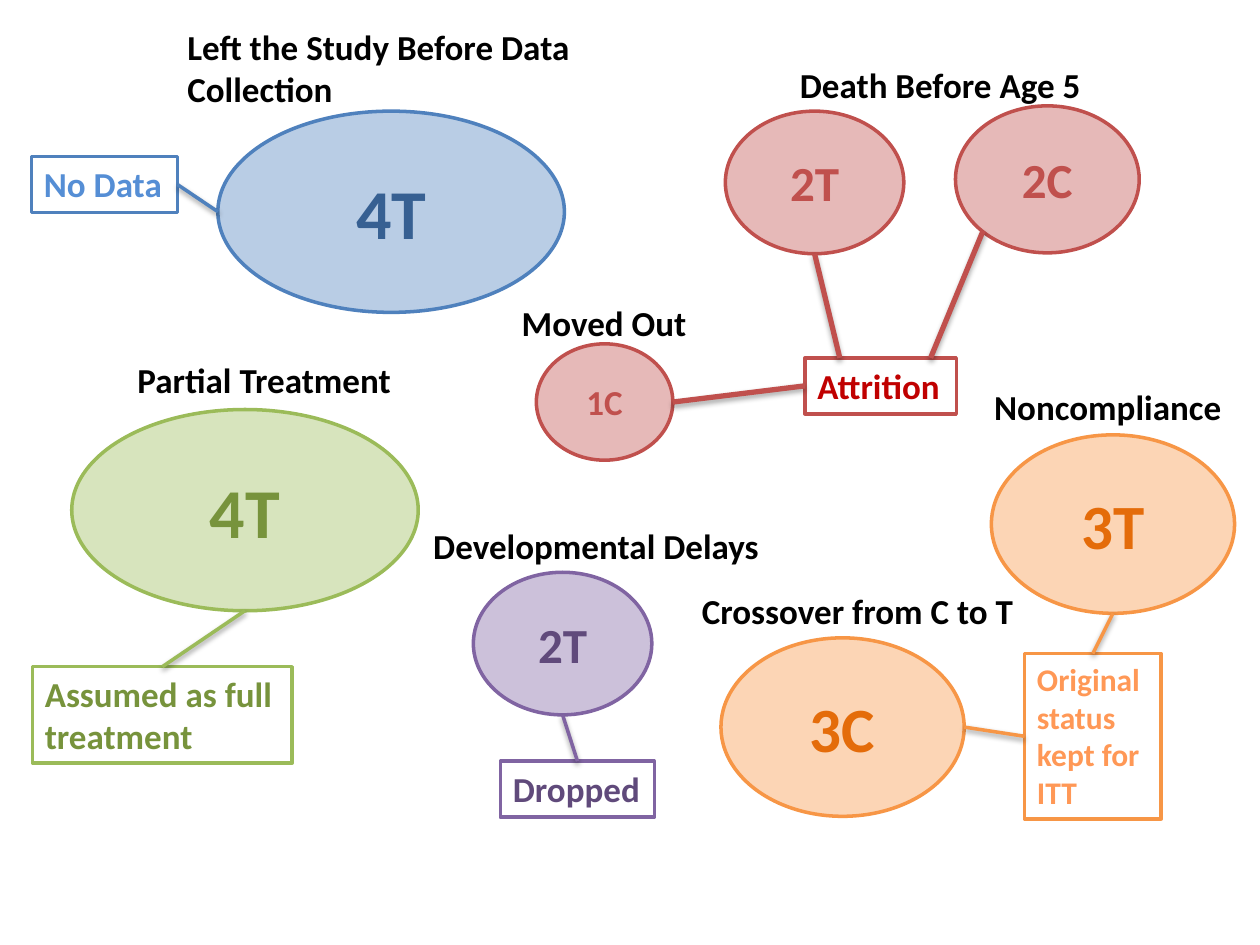
from lxml import etree
from pptx import Presentation
from pptx.dml.color import RGBColor
from pptx.enum.shapes import MSO_CONNECTOR, MSO_SHAPE
from pptx.enum.text import MSO_ANCHOR, MSO_AUTO_SIZE, PP_ALIGN
from pptx.oxml.ns import qn
from pptx.util import Pt

BLACK = RGBColor(0x00, 0x00, 0x00)
WHITE = RGBColor(0xFF, 0xFF, 0xFF)
BLUE = RGBColor(0x4F, 0x81, 0xBD)
PALE_BLUE = RGBColor(0xB9, 0xCD, 0xE5)
DEEP_BLUE = RGBColor(0x37, 0x60, 0x92)
SKY = RGBColor(0x55, 0x8E, 0xD5)
RED = RGBColor(0xC0, 0x50, 0x4D)
PALE_RED = RGBColor(0xE6, 0xB9, 0xB8)
DEEP_RED = RGBColor(0xC0, 0x00, 0x00)
GREEN = RGBColor(0x9B, 0xBB, 0x59)
PALE_GREEN = RGBColor(0xD7, 0xE4, 0xBD)
DEEP_GREEN = RGBColor(0x77, 0x93, 0x3C)
PURPLE = RGBColor(0x80, 0x64, 0xA2)
PALE_PURPLE = RGBColor(0xCC, 0xC1, 0xDA)
DEEP_PURPLE = RGBColor(0x60, 0x4A, 0x7B)
ORANGE = RGBColor(0xF7, 0x96, 0x46)
PALE_ORANGE = RGBColor(0xFC, 0xD5, 0xB5)
DEEP_ORANGE = RGBColor(0xE4, 0x6C, 0x0A)
PEACH = RGBColor(0xFF, 0x98, 0x56)

# Points on a shape, as shares of its width and height
TOP, LEFT, RIGHT, BASE = (0.5, 0), (0, 0.5), (1, 0.5), (0.5, 1)
LOW_LEFT = (0.15, 0.85)


class Board:
    font = "Calibri"

    def __init__(self, slide):
        self.slide = slide

    def add_text(self, shape, text, size, color, wrap=True):
        frame = shape.text_frame
        frame.word_wrap = wrap
        run = frame.paragraphs[0].add_run()
        run.text = text
        run.font.name = self.font
        run.font.size = Pt(size)
        run.font.bold = True
        run.font.color.rgb = color
        return frame

    def label(self, text, at, wrap=False):
        box = self.slide.shapes.add_textbox(*map(Pt, at))
        frame = self.add_text(box, text, 20, BLACK, wrap)
        frame.auto_size = MSO_AUTO_SIZE.SHAPE_TO_FIT_TEXT

    def shape(self, kind, at, fill, line):
        shape = self.slide.shapes.add_shape(kind, *map(Pt, at))
        shape.shadow.inherit = False
        shape.fill.solid()
        shape.fill.fore_color.rgb = fill
        shape.line.color.rgb = line
        shape.line.width = Pt(2)
        return shape

    def oval(self, text, at, size, fill, line, color):
        oval = self.shape(MSO_SHAPE.OVAL, at, fill, line)
        frame = self.add_text(oval, text, size, color)
        frame.vertical_anchor = MSO_ANCHOR.MIDDLE
        frame.paragraphs[0].alignment = PP_ALIGN.CENTER
        return oval

    def note(self, text, at, line, color, size=20, wrap=True):
        box = self.shape(MSO_SHAPE.RECTANGLE, at, WHITE, line)
        frame = self.add_text(box, text, size, color, wrap)
        frame.vertical_anchor = MSO_ANCHOR.TOP
        frame.paragraphs[0].alignment = PP_ALIGN.LEFT
        frame.auto_size = MSO_AUTO_SIZE.SHAPE_TO_FIT_TEXT
        return box

    def join(self, first, start, last, end, color, width=2):
        spots = []
        for shape, (x, y) in ((first, start), (last, end)):
            spots += [int(shape.left + x * shape.width),
                      int(shape.top + y * shape.height)]
        line = self.slide.shapes.add_connector(MSO_CONNECTOR.STRAIGHT, *spots)
        line.line.color.rgb = color
        line.line.width = Pt(width)
        self.shade(line, 1.6 if width == 2 else 1.8, 38 if width == 2 else 35)

    def shade(self, line, drop, alpha):
        effects = etree.SubElement(line._element.spPr, qn("a:effectLst"))
        shadow = etree.SubElement(
            effects, qn("a:outerShdw"), blurRad=str(int(Pt(3.1))),
            dist=str(int(Pt(drop))), dir="5400000", rotWithShape="0")
        black = etree.SubElement(shadow, qn("a:srgbClr"), val="000000")
        etree.SubElement(black, qn("a:alpha"), val=str(alpha * 1000))


deck = Presentation()
deck.slide_width, deck.slide_height = Pt(720), Pt(540)
board = Board(deck.slides.add_slide(deck.slide_layouts[6]))

# Headings
board.label("Left the Study Before Data Collection", (100, 11, 263, 55), True)
for text, at in (
    ("Death Before Age 5", (450, 32.5, 176, 32)),
    ("Moved Out", (291, 168.5, 109, 32)),
    ("Noncompliance", (561, 216.5, 145, 32)),
    ("Developmental Delays", (240.5, 296, 202, 32)),
    ("Crossover from C to T", (394, 333.5, 194, 32)),
    ("Partial Treatment", (71.5, 201.5, 160, 32)),
):
    board.label(text, at)

# Groups of children
reds = (PALE_RED, RED, RED)
oranges = (PALE_ORANGE, ORANGE, DEEP_ORANGE)
left = board.oval("4T", (124.5, 63.5, 198, 115), 40, PALE_BLUE, BLUE, DEEP_BLUE)
death_t = board.oval("2T", (414.5, 63.5, 102, 81.5), 28, *reds)
death_c = board.oval("2C", (546, 60.5, 105, 84), 28, *reds)
moved = board.oval("1C", (306.5, 196.5, 78, 66.5), 20, *reds)
refused = board.oval("3T", (566.5, 248.5, 139, 102), 36, *oranges)
delayed = board.oval("2T", (270.5, 327, 102, 81.5), 28,
                     PALE_PURPLE, PURPLE, DEEP_PURPLE)
partial = board.oval("4T", (41, 234, 198, 115), 40,
                     PALE_GREEN, GREEN, DEEP_GREEN)
crossed = board.oval("3C", (412, 364.5, 139, 102), 36, *oranges)

# How each group is handled
dropped = board.note("Dropped", (286, 435, 88, 32), PURPLE, DEEP_PURPLE,
                     wrap=False)
lost = board.note("Attrition", (460, 204.5, 86.5, 32), RED, DEEP_RED)
empty = board.note("No Data", (18, 89.5, 83.5, 32), BLUE, SKY)
full = board.note("Assumed as full treatment", (18.5, 381, 148.5, 55),
                  GREEN, DEEP_GREEN)
kept = board.note("Original status kept for ITT", (585.5, 373.5, 78, 94.5),
                  ORANGE, PEACH, 18)

# Links from groups to handling
for link in (
    (left, LEFT, empty, RIGHT, BLUE),
    (death_t, BASE, lost, (0.23, 0), RED, 3),
    (death_c, LOW_LEFT, lost, (0.83, 0), RED, 3),
    (moved, RIGHT, lost, LEFT, RED, 3),
    (refused, BASE, kept, TOP, ORANGE),
    (crossed, RIGHT, kept, LEFT, ORANGE),
    (delayed, BASE, dropped, TOP, PURPLE),
    (partial, BASE, full, TOP, GREEN),
):
    board.join(*link)

deck.save("out.pptx")
